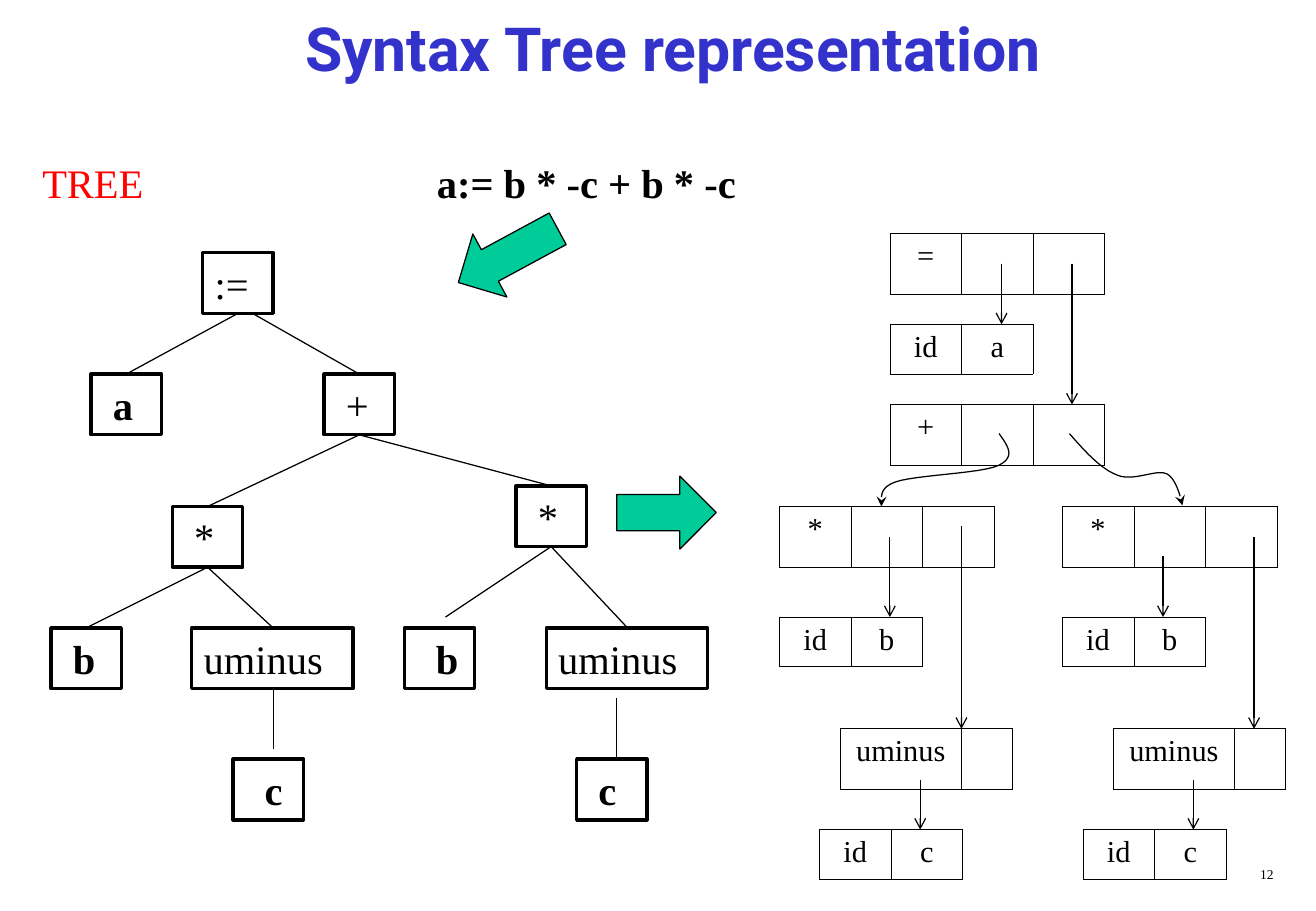
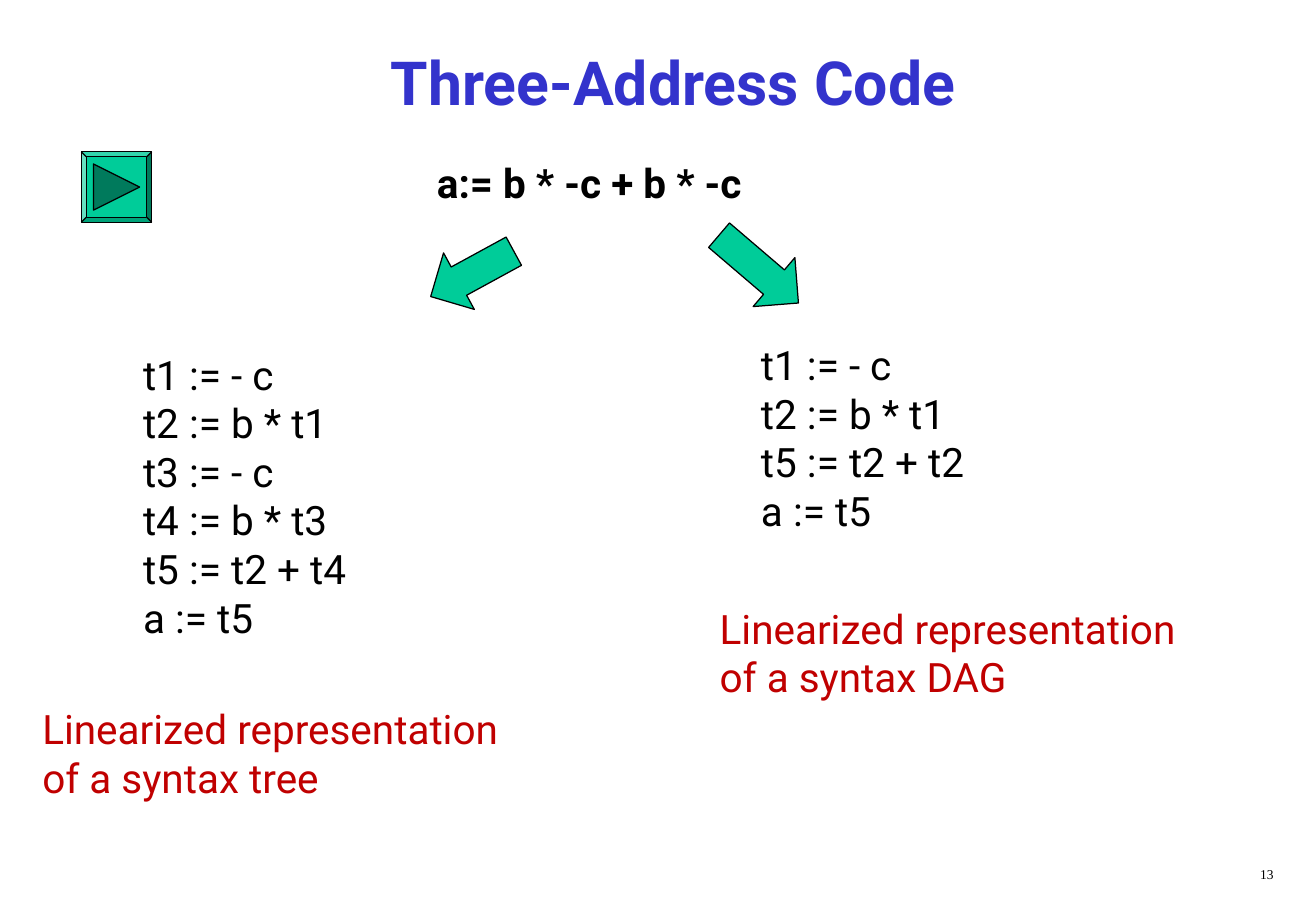
from lxml import etree
from pptx import Presentation
from pptx.dml.color import RGBColor
from pptx.enum.shapes import MSO_CONNECTOR, MSO_SHAPE
from pptx.enum.text import MSO_ANCHOR, MSO_AUTO_SIZE, PP_ALIGN
from pptx.oxml.ns import qn
from pptx.util import Inches, Pt

RECT, BEVEL = MSO_SHAPE.RECTANGLE, MSO_SHAPE.BEVEL
LEFT_ARROW, TRIANGLE = MSO_SHAPE.LEFT_ARROW, MSO_SHAPE.ISOSCELES_TRIANGLE
STRAIGHT = MSO_CONNECTOR.STRAIGHT
TOP, MIDDLE = MSO_ANCHOR.TOP, MSO_ANCHOR.MIDDLE
LEFT, CENTER, RIGHT = PP_ALIGN.LEFT, PP_ALIGN.CENTER, PP_ALIGN.RIGHT
NO_FIT = MSO_AUTO_SIZE.NONE

COLORS = {
    "title": "3333CC", "ink": "000000", "paper": "FFFFFF", "green": "00CC99",
    "dark": "007A5C", "red": "FF0000", "brick": "C00000",
}
SANS, SERIF = "Roboto", "Times New Roman"
THIN, THICK, HAIR = 0.75, 2, 0.45
FORMULA = "a:= b * -c + b * -c"
SPACE = 0.08  # width of one space in a tree node
SLOT = 0.59  # width of a record field
STEPS = 12  # line segments per curve


def color(name):
    return RGBColor.from_string(COLORS[name])


def bezier(start, ctrl1, ctrl2, end):
    """Points along a cubic curve, without its start."""
    points = []
    for step in range(1, STEPS + 1):
        t = step / STEPS
        u = 1 - t
        weights = (u**3, 3 * u * u * t, 3 * u * t * t, t**3)
        knots = (start, ctrl1, ctrl2, end)
        points.append(tuple(sum(w * k[axis] for w, k in zip(weights, knots))
                            for axis in (0, 1)))
    return points


class Deck:
    def __init__(self):
        self.prs = Presentation()
        self.prs.slide_width = Inches(10.84)
        self.prs.slide_height = Inches(7.5)
        self.slide = None

    def start(self, title, number, top=0.17, height=1):
        self.slide = self.prs.slides.add_slide(self.prs.slide_layouts[5])
        head = self.slide.shapes.title
        head.left, head.top = Inches(0.42), Inches(top)
        head.width, head.height = Inches(10.25), Inches(height)
        self.put(head.text_frame, [title], 36, "title", SANS, True, CENTER)
        head.text_frame.vertical_anchor = MIDDLE
        self.text(8.33, 7.08, 2.26, 0.25, [str(number)], 8, align=RIGHT)

    def put(self, frame, lines, size=24, ink="ink", face=SERIF, bold=False,
            align=LEFT):
        """Set the lines of a text frame in one style."""
        frame.word_wrap = True
        frame.auto_size = NO_FIT
        frame.text = "\n".join(lines)
        for para in frame.paragraphs:
            self.style(para, size, ink, face, bold, align)

    def style(self, para, size, ink, face, bold, align):
        para.alignment = align
        font = para.font
        font.size, font.name, font.bold = Pt(size), face, bold
        font.color.rgb = color(ink)

    def text(self, x, y, w, h, lines, size=24, **look):
        box = self.slide.shapes.add_textbox(
            Inches(x), Inches(y), Inches(w), Inches(h))
        self.put(box.text_frame, lines, size, **look)

    def shape(self, kind, x, y, w, h, fill="green", width=THIN, turn=0):
        item = self.slide.shapes.add_shape(
            kind, Inches(x), Inches(y), Inches(w), Inches(h))
        item.shadow.inherit = False
        item.fill.solid()
        item.fill.fore_color.rgb = color(fill)
        self.stroke(item, width)
        item.rotation = turn
        return item

    def stroke(self, item, width=THIN, tip=None):
        item.line.color.rgb = color("ink")
        item.line.width = Pt(width)
        if tip:
            line = item.element.spPr.find(qn("a:ln"))
            etree.SubElement(line, qn("a:tailEnd"), type=tip)

    def node(self, x, y, label, pad=0, bold=False, w=0.58):
        """Tree node whose label is indented by pad spaces."""
        box = self.shape(RECT, x, y, w, 0.5, "paper", THICK)
        frame = box.text_frame
        self.put(frame, [label], bold=bold)
        frame.vertical_anchor = TOP
        frame.margin_left = Inches(0.1 + pad * SPACE)

    def line(self, x1, y1, x2, y2, tip=None):
        item = self.slide.shapes.add_connector(
            STRAIGHT, Inches(x1), Inches(y1), Inches(x2), Inches(y2))
        self.stroke(item, THIN, tip)
        etree.SubElement(item.element.spPr, qn("a:effectLst"))

    def curve(self, start, *arcs):
        """Arrow along curves, each given as two controls and an end."""
        points = [start]
        for arc in arcs:
            points += bezier(points[-1], *arc)
        spots = [(Inches(x), Inches(y)) for x, y in points]
        pen = self.slide.shapes.build_freeform(*spots[0])
        pen.add_line_segments(spots[1:], close=False)
        item = pen.convert_to_shape()
        item.shadow.inherit = False
        item.fill.background()
        self.stroke(item, THIN, "stealth")

    def record(self, x, y, fields, widths=None):
        """One-row table; rows with empty pointer fields are taller."""
        widths = widths or [SLOT] * len(fields)
        height = 0.41 if all(fields) else 0.5
        frame = self.slide.shapes.add_table(
            1, len(fields), Inches(x), Inches(y),
            Inches(sum(widths)), Inches(height))
        table = frame.table
        table.first_row = table.horz_banding = False
        table.rows[0].height = Inches(height)
        for col, (field, width) in enumerate(zip(fields, widths)):
            table.columns[col].width = Inches(width)
            cell = table.cell(0, col)
            cell.text = field
            self.style(cell.text_frame.paragraphs[0], 18, "ink", SERIF,
                       False, CENTER)
            cell.fill.background()
            self.border(cell)

    def border(self, cell):
        props = cell._tc.get_or_add_tcPr()
        for spot, side in enumerate(("lnL", "lnR", "lnT", "lnB")):
            edge = etree.Element(qn("a:" + side), w=str(int(Pt(HAIR))))
            fill = etree.SubElement(edge, qn("a:solidFill"))
            etree.SubElement(fill, qn("a:srgbClr"), val=COLORS["ink"])
            props.insert(spot, edge)


def tree(deck):
    for node in (
        (1.67, 2.08, ":="), (0.75, 3.08, "a", 1, True), (2.67, 3.08, "+", 1),
        (1.42, 4.17, "*", 1), (4.25, 4, "*", 1),
        (0.42, 5.17, "b", 1, True), (1.58, 5.17, "uminus", 0, False, 1.33),
        (3.33, 5.17, "b", 2, True), (4.5, 5.17, "uminus", 0, False, 1.33),
        (1.92, 6.25, "c", 2, True), (4.75, 6.25, "c", 1, True),
    ):
        deck.node(*node)
    for edge in (
        (1.96, 2.58, 1.04, 3.08), (2.08, 2.58, 2.96, 3.08),
        (2.96, 3.58, 1.71, 4.17), (2.96, 3.58, 4.54, 4),
        (1.71, 4.67, 0.71, 5.17), (1.71, 4.67, 2.25, 5.17),
        (4.54, 4.5, 3.67, 5.08), (4.54, 4.5, 5.17, 5.17),
        (2.25, 5.67, 2.25, 6.17), (5.08, 5.75, 5.08, 6.25),
    ):
        deck.line(*edge)


def records(deck):
    deck.record(7.33, 1.92, ["=", "", ""])
    deck.record(7.33, 2.67, ["id", "a"])
    deck.record(7.33, 3.33, ["+", "", ""])
    for left, minus, leaf in ((6.42, 6.92, 6.75), (8.75, 9.17, 8.92)):
        deck.record(left, 4.17, ["*", "", ""])
        deck.record(left, 5.08, ["id", "b"])
        deck.record(minus, 6, ["uminus", ""], [1, 0.42])
        deck.record(leaf, 6.83, ["id", "c"])
    for x, y1, y2 in (
        (8.25, 2.17, 2.67), (8.83, 2.17, 3.33),
        (7.33, 4.42, 5.08), (7.92, 4.33, 6), (7.58, 6.42, 6.83),
        (9.58, 4.58, 5.08), (10.33, 4.42, 6), (9.83, 6.42, 6.83),
    ):
        deck.line(x, y1, x, y2, "arrow")
    deck.curve((8.23, 3.57),
               ((8.3, 3.67), (8.37, 3.76), (8.23, 3.83)),
               ((8.09, 3.9), (7.53, 3.91), (7.37, 3.97)),
               ((7.21, 4.03), (7.28, 4.14), (7.26, 4.17)))
    deck.curve((8.81, 3.57),
               ((8.94, 3.72), (9.07, 3.86), (9.2, 3.91)),
               ((9.33, 3.97), (9.52, 3.86), (9.61, 3.9)),
               ((9.7, 3.94), (9.74, 4.16), (9.74, 4.16)))


def syntax(deck):
    deck.start("Syntax Tree representation", 12, 0.04, 0.7)
    deck.text(3.5, 1.25, 3.92, 0.5, [FORMULA], bold=True)
    deck.text(0.25, 1.25, 1.17, 0.5, ["TREE"], ink="red")
    tree(deck)
    deck.shape(LEFT_ARROW, 3.72, 1.81, 0.93, 0.59, turn=331.6)
    deck.shape(LEFT_ARROW, 5.08, 3.92, 0.82, 0.6, turn=180)
    records(deck)


def address(deck):
    deck.start("Three-Address Code", 13)
    deck.text(3.5, 1.25, 3.92, 0.5, [FORMULA], face=SANS, bold=True)
    deck.shape(LEFT_ARROW, 3.5, 1.99, 0.78, 0.53, turn=331.4)
    deck.shape(LEFT_ARROW, 5.82, 1.95, 0.86, 0.53, turn=220.5)
    deck.text(1.08, 2.83, 2.75, 2.5,
              ["t1 := - c", "t2 := b * t1", "t3 := - c", "t4 := b * t3",
               "t5 := t2 + t4", "a := t5"], face=SANS)
    deck.text(6.17, 2.75, 2.75, 1.7,
              ["t1 := - c", "t2 := b * t1", "t5 := t2 + t2", "a := t5"],
              face=SANS)
    for x, y, kind in ((0.25, 5.75, "tree"), (5.83, 4.92, "DAG")):
        deck.text(x, y, 4.08, 1.3,
                  [f"Linearized representation of a syntax {kind}"],
                  ink="brick", face=SANS)
    button = deck.shape(BEVEL, 0.67, 1.25, 0.58, 0.58)
    button.adjustments[0] = 0.07
    deck.shape(TRIANGLE, 0.77, 1.35, 0.38, 0.38, "dark", turn=90)


def main():
    deck = Deck()
    syntax(deck)
    address(deck)
    deck.prs.save("out.pptx")


if __name__ == "__main__":
    main()
